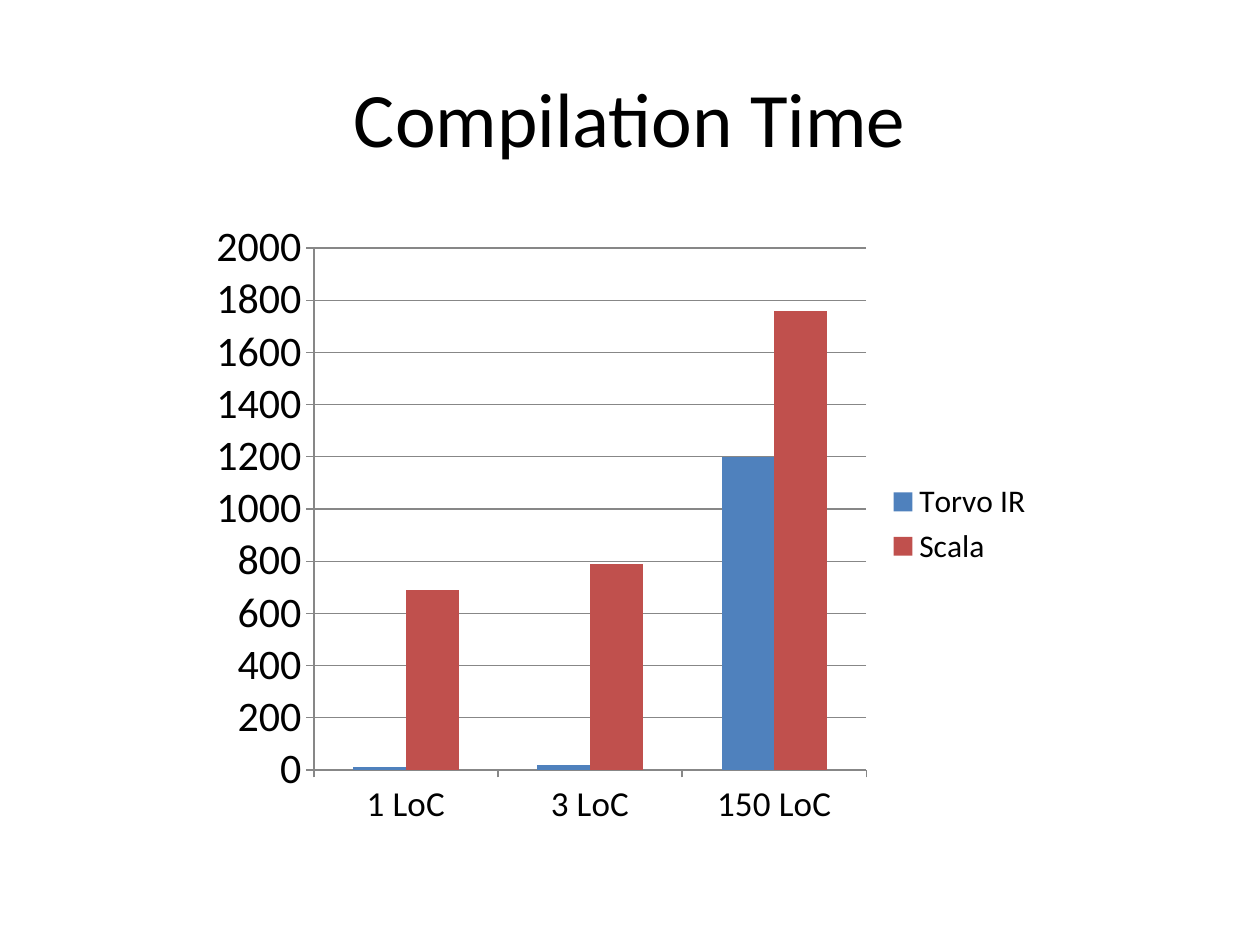
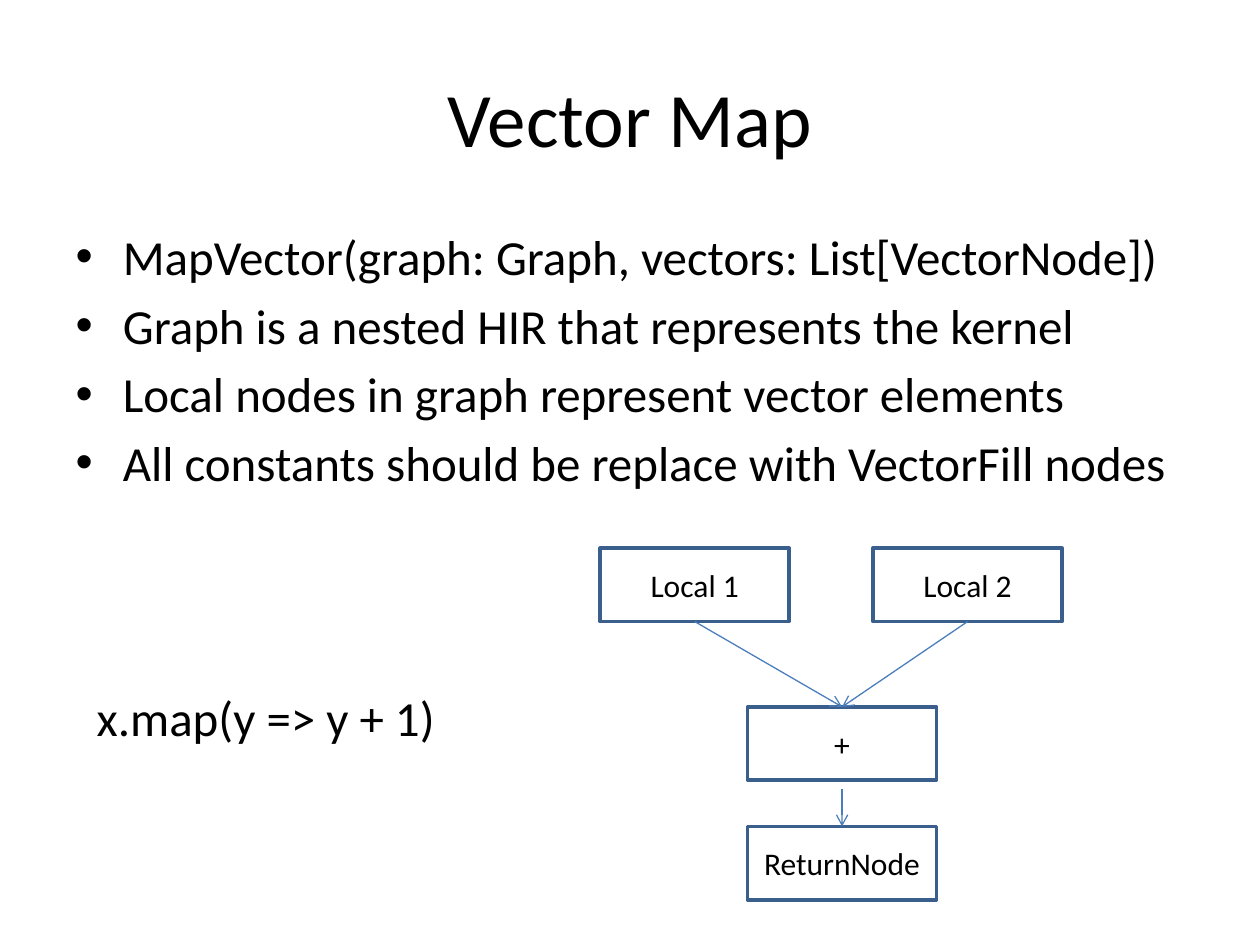
from lxml import etree
from pptx import Presentation
from pptx.chart.data import CategoryChartData
from pptx.dml.color import RGBColor
from pptx.enum.chart import XL_CHART_TYPE, XL_LEGEND_POSITION, XL_TICK_MARK
from pptx.enum.shapes import MSO_CONNECTOR, MSO_SHAPE
from pptx.enum.text import MSO_ANCHOR, MSO_AUTO_SIZE, PP_ALIGN
from pptx.oxml.ns import qn
from pptx.util import Cm, Pt

COLUMNS = XL_CHART_TYPE.COLUMN_CLUSTERED
LEGEND_RIGHT = XL_LEGEND_POSITION.RIGHT
TICK_OUT = XL_TICK_MARK.OUTSIDE
STRAIGHT = MSO_CONNECTOR.STRAIGHT
RECTANGLE = MSO_SHAPE.RECTANGLE
MIDDLE = MSO_ANCHOR.MIDDLE
NO_FIT = MSO_AUTO_SIZE.NONE
CENTER, LEFT = PP_ALIGN.CENTER, PP_ALIGN.LEFT

FONT = "Calibri"
BLACK, GRID_GRAY = "000000", "878787"
BOX_LINE, ARROW_LINE = "3A5F8C", "4B7EBC"
TITLE_ONLY, TITLE_AND_BODY = 5, 1
TITLE_AREA = (1.27, 0.76, 22.86, 3.18)
BODY_AREA = (1.27, 4.44, 22.86, 6.15)
CHART_AREA = (4.02, 4.23, 17.07, 12.67)
CODE_AREA = (1.7, 13.74, 7.65, 1.45)

CATEGORIES = ["1 LoC", "3 LoC", "150 LoC"]
SERIES = [
    ("Torvo IR", [10, 20, 1200], "4F81BD"),
    ("Scala", [690, 790, 1760], "C0504D"),
]
BULLETS = [
    "MapVector(graph: Graph, vectors: List[VectorNode])",
    "Graph is a nested HIR that represents the kernel",
    "Local nodes in graph represent vector elements",
    "All constants should be replace with VectorFill nodes",
]
CODE = "x.map(y => y + 1)"
NODE_WIDTH, NODE_HEIGHT = 3.81, 1.48
NODES = {
    "Local 1": (12.1, 11.05),
    "Local 2": (17.6, 11.05),
    "+": (15.07, 14.25),
    "ReturnNode": (15.07, 16.66),
}
EDGES = [("Local 1", "+", 0), ("Local 2", "+", 0), ("+", "ReturnNode", 0.17)]


def color(value):
    return RGBColor.from_string(value)


def style_font(font, size):
    font.name = FONT
    font.size = Pt(size)
    font.color.rgb = color(BLACK)


def style_line(line, value, width):
    line.color.rgb = color(value)
    line.width = Pt(width)


def place(shape, area):
    shape.left, shape.top, shape.width, shape.height = map(Cm, area)


def write(frame, lines, size, align):
    for index, text in enumerate(lines):
        para = frame.paragraphs[0] if index == 0 else frame.add_paragraph()
        para.alignment = align
        span = para.add_run()
        span.text = text
        style_font(span.font, size)


def add_page(layout, title):
    page = deck.slides.add_slide(deck.slide_layouts[layout])
    place(page.shapes.title, TITLE_AREA)
    frame = page.shapes.title.text_frame
    frame.vertical_anchor = MIDDLE
    write(frame, [title], 44, CENTER)
    return page


def add_time_chart(page):
    data = CategoryChartData()
    data.categories = CATEGORIES
    for name, values, _ in SERIES:
        data.add_series(name, values)
    chart = page.shapes.add_chart(COLUMNS, *map(Cm, CHART_AREA), data).chart
    style_font(chart.font, 10)
    chart.has_title = False
    chart.has_legend = True
    chart.legend.position = LEGEND_RIGHT
    chart.legend.include_in_layout = False
    style_font(chart.legend.font, 18)
    plot = chart.plots[0]
    plot.gap_width, plot.overlap = 150, 0
    plot.vary_by_categories = False
    for series, (_, _, fill) in zip(plot.series, SERIES):
        series.format.fill.solid()
        series.format.fill.fore_color.rgb = color(fill)
    for axis, size in ((chart.category_axis, 20), (chart.value_axis, 24)):
        axis.major_tick_mark = TICK_OUT
        style_font(axis.tick_labels.font, size)
        style_line(axis.format.line, GRID_GRAY, 0.75)
    scale = chart.value_axis
    scale.minimum_scale, scale.maximum_scale, scale.major_unit = 0, 2000, 200
    scale.has_major_gridlines = True
    style_line(scale.major_gridlines.format.line, GRID_GRAY, 0.75)


def add_node(page, text, corner):
    box = page.shapes.add_shape(RECTANGLE, *map(Cm, (*corner, NODE_WIDTH, NODE_HEIGHT)))
    box.shadow.inherit = False
    box.fill.background()
    style_line(box.line, BOX_LINE, 2)
    box.text_frame.vertical_anchor = MIDDLE
    write(box.text_frame, [text], 18, CENTER)


def add_arrow(page, source, target, gap):
    (x1, y1), (x2, y2) = NODES[source], NODES[target]
    half = NODE_WIDTH / 2
    ends = (x1 + half, y1 + NODE_HEIGHT + gap, x2 + half, y2)
    arrow = page.shapes.add_connector(STRAIGHT, *map(Cm, ends))
    style_line(arrow.line, ARROW_LINE, 0.75)
    line = arrow._element.spPr.find(qn("a:ln"))
    etree.SubElement(line, qn("a:tailEnd"), type="arrow")
    etree.SubElement(arrow._element.spPr, qn("a:effectLst"))


deck = Presentation()
deck.slide_width, deck.slide_height = Cm(25.4), Cm(19.05)

add_time_chart(add_page(TITLE_ONLY, "Compilation Time"))

map_page = add_page(TITLE_AND_BODY, "Vector Map")
body = map_page.placeholders[1]
place(body, BODY_AREA)
body.text_frame.auto_size = NO_FIT
write(body.text_frame, BULLETS, 28, LEFT)
for name, corner in NODES.items():
    add_node(map_page, name, corner)
for edge in EDGES:
    add_arrow(map_page, *edge)
code_box = map_page.shapes.add_textbox(*map(Cm, CODE_AREA))
code_box.text_frame.word_wrap = False
write(code_box.text_frame, [CODE], 28, LEFT)

deck.save("out.pptx")
